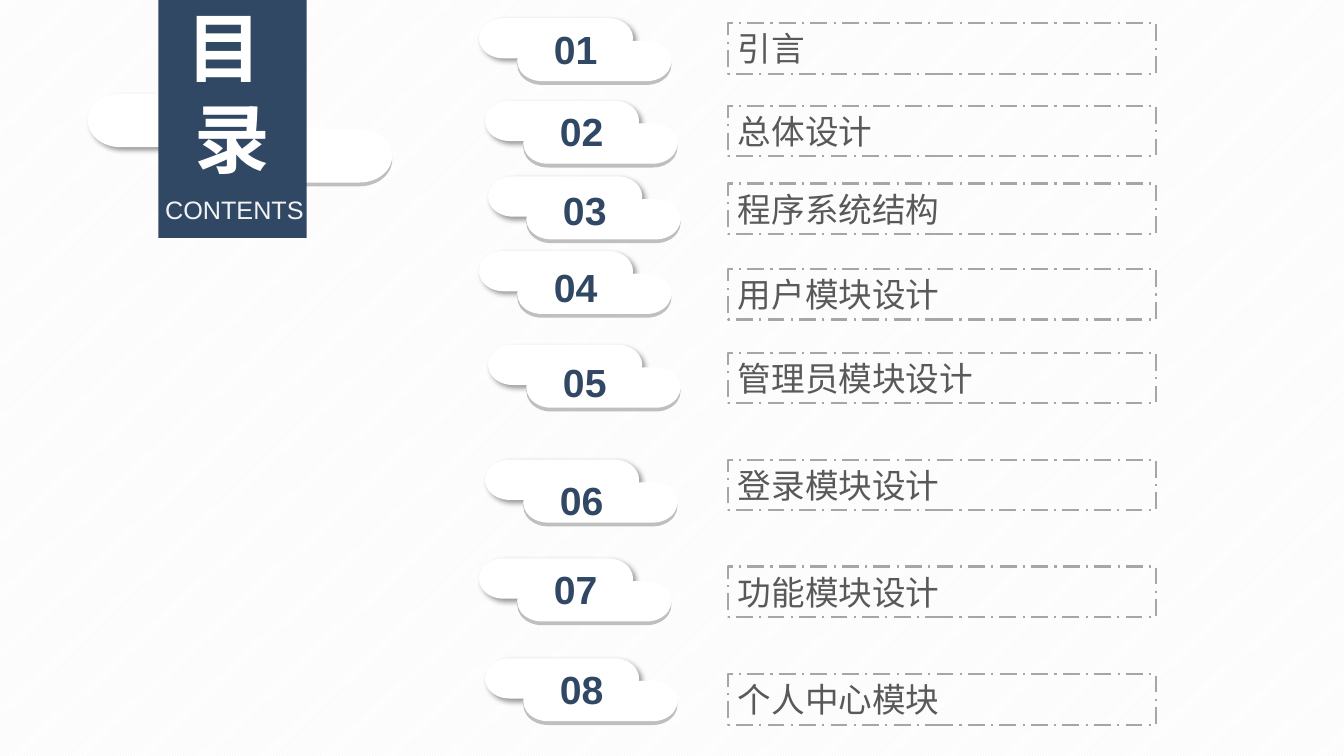
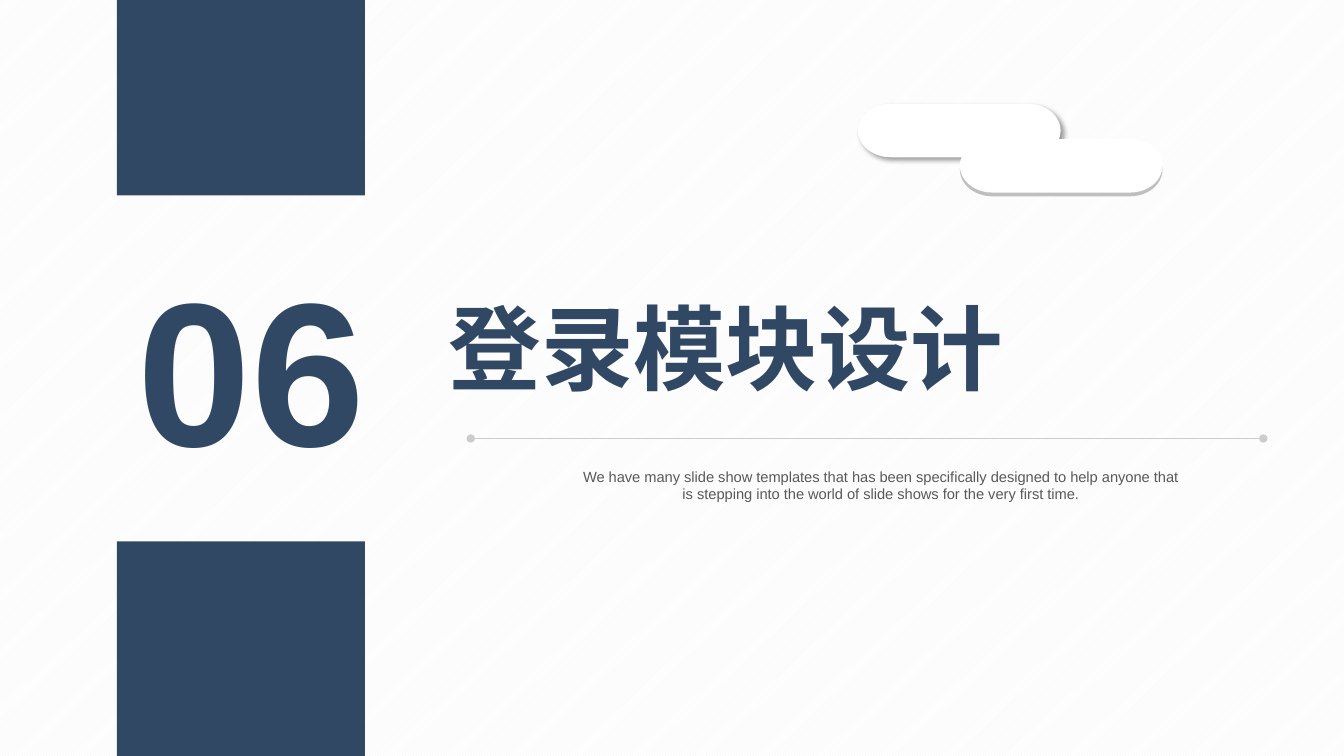
from lxml.etree import SubElement
from pptx import Presentation
from pptx.dml.color import RGBColor
from pptx.enum.dml import MSO_LINE, MSO_PATTERN as PATTERN
from pptx.enum.shapes import MSO_CONNECTOR, MSO_SHAPE as SHAPE
from pptx.enum.text import MSO_ANCHOR as ANCHOR, MSO_AUTO_SIZE, PP_ALIGN as ALIGN
from pptx.oxml.ns import qn
from pptx.util import Inches, Pt

WIDTH, HEIGHT = Inches(13.33), Inches(7.5)
FONT = "Arial"
NAVY, WHITE, PALE = "314865", "FFFFFF", "F2F2F2"
TEXT_GRAY, DASH_GRAY, RIM_GRAY, RULE_GRAY = "595959", "A6A6A6", "BFBFBF", "CCCCCC"

# Lengths are percentages of the slide: cap size, then offset of the lower cap
LARGE_CLOUD = ((15.08, 7.07), (7.58, 4.67))
SMALL_CLOUD = ((11.48, 5.33), (2.85, 3))
RIM_DROP = 0.5

# Title, cloud left, cloud top, number top, title top
CONTENTS = [
    ("引言", 35.63, 2.4, 2.67, 3.07),
    ("总体设计", 36.08, 13.33, 13.6, 14),
    ("程序系统结构", 36.31, 23.33, 24, 24.27),
    ("用户模块设计", 35.63, 33.2, 34.13, 35.6),
    ("管理员模块设计", 36.31, 45.6, 46.8, 46.67),
    ("登录模块设计", 36.08, 60.8, 62.4, 60.8),
    ("功能模块设计", 35.63, 73.87, 74.13, 74.93),
    ("个人中心模块", 36.08, 87.07, 87.33, 89.2),
]


def color(value):
    return RGBColor.from_string(value)


def share(left, top, width, height):
    """Turn percentages of the slide into lengths."""
    return [int(part * whole / 100) for part, whole in
            zip((left, top, width, height), (WIDTH, HEIGHT) * 2)]


def add_page(deck, pattern):
    page = deck.slides.add_slide(deck.slide_layouts[6])
    fill = page.background.fill
    fill.patterned()
    fill.pattern = pattern
    fill.fore_color.rgb = color(PALE)
    fill.back_color.rgb = color(WHITE)
    return page


def add_block(shapes, place, fill=None, kind=SHAPE.RECTANGLE):
    block = shapes.add_shape(kind, *share(*place))
    block.shadow.inherit = False
    block.line.fill.background()
    if fill:
        block.fill.solid()
        block.fill.fore_color.rgb = color(fill)
    else:
        block.fill.background()
    return block


def write(box, text, size, ink, align=ALIGN.CENTER, bold=False,
          anchor=ANCHOR.TOP, flush=False):
    """Fill a box with text, one paragraph per line; flush drops the margins."""
    frame = box.text_frame
    frame.word_wrap = True
    frame.auto_size = MSO_AUTO_SIZE.SHAPE_TO_FIT_TEXT
    frame.vertical_anchor = anchor
    if flush:
        frame.margin_left = frame.margin_right = 0
        frame.margin_top = frame.margin_bottom = 0
    frame.text = text
    for para in frame.paragraphs:
        para.alignment = align
        for span in para.runs:
            span.font.name = FONT
            span.font.size = Pt(size)
            span.font.bold = bold
            span.font.color.rgb = color(ink)


def add_text(shapes, place, text, size, ink, **style):
    write(shapes.add_textbox(*share(*place)), text, size, ink, **style)


def cast_shadow(shape):
    effects = shape.element.spPr.find(qn("a:effectLst"))
    shadow = SubElement(effects, qn("a:outerShdw"), blurRad=str(Pt(4)),
                        dist=str(Pt(3)), dir=str(45 * 60000),
                        algn="tl", rotWithShape="0")
    black = SubElement(shadow, qn("a:srgbClr"), val="000000")
    SubElement(black, qn("a:alpha"), val="40000")


def add_cloud(page, left, top, size):
    """Group two overlapping caps, the lower one with a gray rim."""
    cap, (right, down) = size
    shapes = page.shapes.add_group_shape().shapes
    lower_left, lower_top = left + right, top + down
    add_block(shapes, (lower_left, lower_top + RIM_DROP, *cap), RIM_GRAY,
              SHAPE.FLOWCHART_TERMINATOR)
    cast_shadow(add_block(shapes, (left, top, *cap), WHITE,
                          SHAPE.FLOWCHART_TERMINATOR))
    add_block(shapes, (lower_left, lower_top, *cap), WHITE,
              SHAPE.FLOWCHART_TERMINATOR)
    return shapes


def add_entry(page, number, title, left, top, number_top, title_top):
    shapes = add_cloud(page, left, top, SMALL_CLOUD)
    add_text(shapes, (left + 4.35, number_top, 5.7, 7.6), f"{number:02}",
             28, NAVY, bold=True)
    frame = add_block(page.shapes, (54.16, title_top, 31.88, 6.67))
    frame.line.color.rgb = color(DASH_GRAY)
    frame.line.width = Pt(1.5)
    frame.line.dash_style = MSO_LINE.LONG_DASH_DOT
    write(frame, title, 24, TEXT_GRAY, align=ALIGN.JUSTIFY)


def add_rule(page, left, right, top):
    """Draw a level line with a dot at each end."""
    rule = page.shapes.add_connector(MSO_CONNECTOR.STRAIGHT,
                                     *share(left, top, right, top))
    rule.line.color.rgb = color(RULE_GRAY)
    rule.line.width = Pt(1)
    line = rule.line._get_or_add_ln()
    for end in ("a:headEnd", "a:tailEnd"):
        SubElement(line, qn(end), type="oval")
    SubElement(rule.element.spPr, qn("a:effectLst"))


def build_contents(deck):
    page = add_page(deck, PATTERN.LIGHT_UPWARD_DIAGONAL)
    add_cloud(page, 6.53, 12.4, LARGE_CLOUD)
    add_block(page.shapes, (11.78, 0, 11.03, 31.47), NAVY)
    add_text(page.shapes, (11.78, 0, 11.03, 24.27), "目 \n录", 54, WHITE,
             bold=True, anchor=ANCHOR.MIDDLE, flush=True)
    add_text(page.shapes, (11.93, 25.73, 11.03, 4), "CONTENTS", 18, PALE,
             anchor=ANCHOR.MIDDLE, flush=True)
    for number, entry in enumerate(CONTENTS, 1):
        add_entry(page, number, *entry)


def build_section(deck, number):
    page = add_page(deck, PATTERN.DARK_UPWARD_DIAGONAL)
    add_text(page.shapes, (8.7, 32, 18.45, 32.8), f"{number:02}", 146, NAVY,
             align=ALIGN.RIGHT, bold=True, flush=True)
    add_rule(page, 35.03, 94, 58)
    add_text(page.shapes, (33.38, 38.53, 62.27, 14.8), CONTENTS[number - 1][0],
             66, NAVY, align=ALIGN.JUSTIFY, bold=True, flush=True)
    add_cloud(page, 63.84, 13.73, LARGE_CLOUD)
    for top, height in ((0, 25.87), (71.6, 28.4)):
        add_block(page.shapes, (8.7, top, 18.45, height), NAVY)
    add_text(page.shapes, (43.36, 61.87, 44.41, 4.67),
             "We have many slide show templates that has been specifically "
             "designed to help anyone that is stepping into the world of "
             "slide shows for the very first time.",
             10.5, TEXT_GRAY, flush=True)


def main():
    deck = Presentation()
    deck.slide_width, deck.slide_height = WIDTH, HEIGHT
    build_contents(deck)
    build_section(deck, 6)
    deck.save("out.pptx")


if __name__ == "__main__":
    main()
